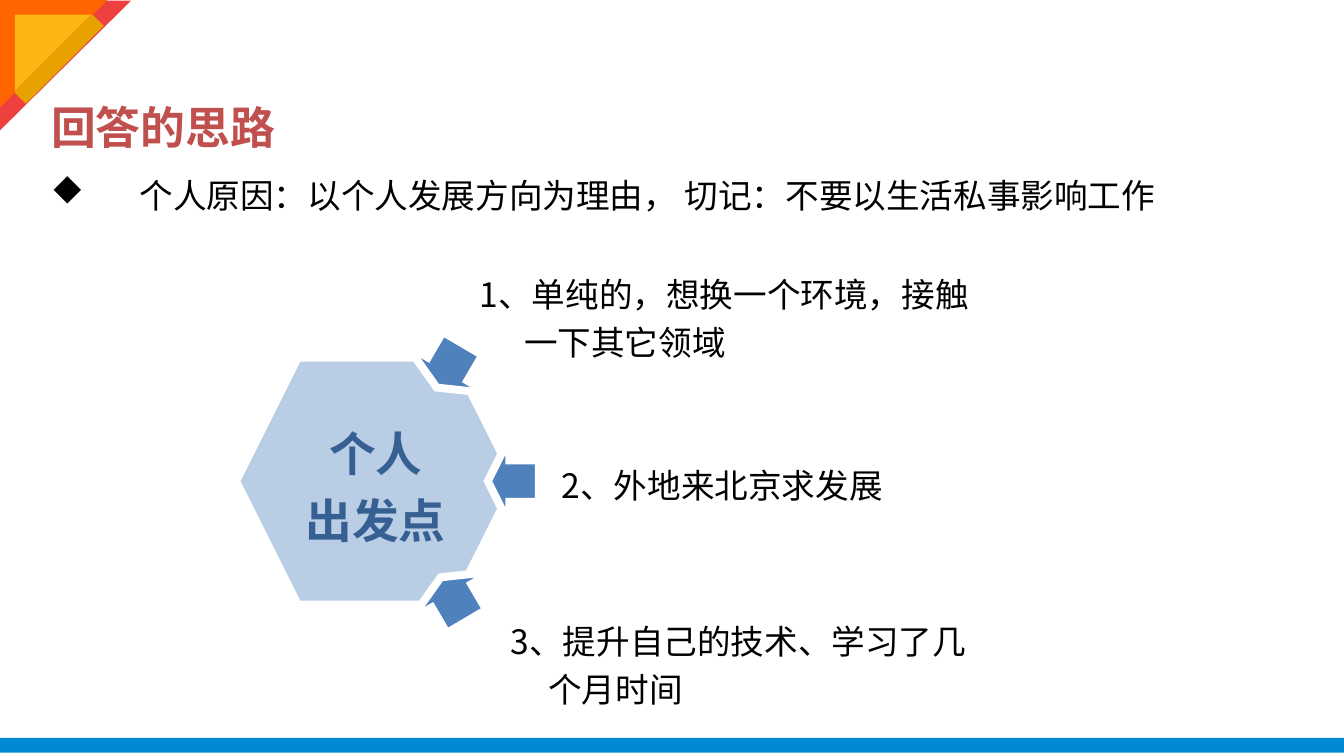
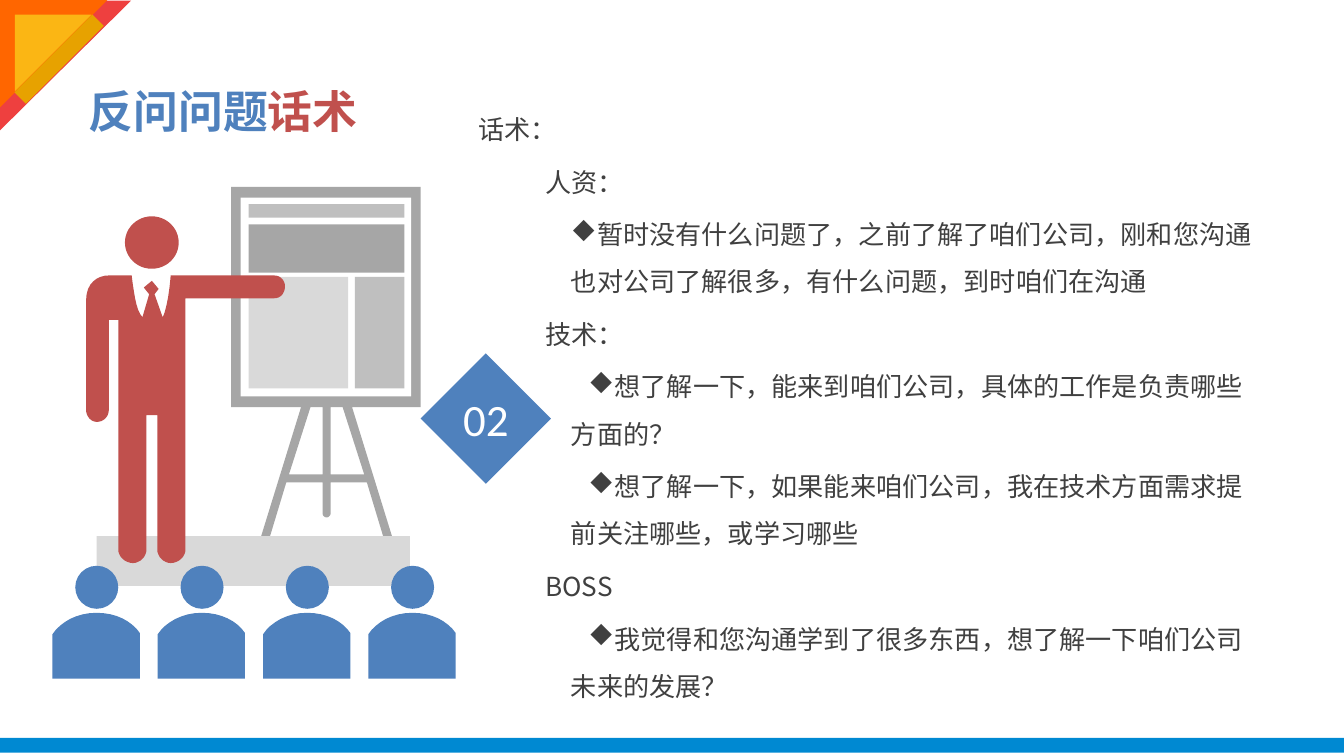
from lxml import etree
from pptx import Presentation, util as u
from pptx.dml.color import RGBColor
from pptx.enum import shapes, text
from pptx.oxml.ns import qn

# Shared style
WIDTH = 10
HEIGHT = WIDTH * 9 / 16
BLUE, PALE_BLUE, DARK_BLUE, RED = "4F81BD", "B9CDE5", "376092", "C0504D"
WHITE, BLACK, INK = "FFFFFF", "000000", "404040"
LIGHT, MID, GREY = "D9D9D9", "BFBFBF", "A6A6A6"
TITLE_FONT, BODY_FONT, LABEL_FONT = "Roboto Condensed", "Noto Sans CJK SC", "Calibri"
BULLET_FONT, DIAMOND = "Wingdings", "u"
KIND = shapes.MSO_SHAPE
MIDDLE, TOP = text.MSO_ANCHOR.MIDDLE, text.MSO_ANCHOR.TOP
CENTER, LEFT = text.PP_ALIGN.CENTER, text.PP_ALIGN.LEFT

# Bottom band and folded corner: kind, box, rotation, colour
FRAME = [
    (KIND.RECTANGLE, (0, 5.49, WIDTH, 0.11), 0, "0089D2"),
    (KIND.RIGHT_TRIANGLE, (0, 0, 0.97, 0.98), 90, "EE403F"),
    (KIND.RIGHT_TRIANGLE, (0, 0, 0.8, 0.8), 90, "FF6600"),
    (KIND.RIGHT_TRIANGLE, (0.11, 0.11, 0.57, 0.57), 90, "FBB614"),
    (KIND.RECTANGLE, (0.38, 0.03, 0.12, 0.82), 45, "E7A200"),
]

# Slide 1 content
REASON = "个人原因：以个人发展方向为理由， 切记：不要以生活私事影响工作"
HUB = ["个人", "出发点"]
# Answer lines, box, indent of the second line
ANSWERS = [
    (["1、单纯的，想换一个环境，接触", "一下其它领域"], (3.57, 1.88, 4.23, 0.91), 0.33),
    (["3、提升自己的技术、学习了几", "个月时间"], (3.8, 4.47, 4, 0.9), 0.28),
    (["2、外地来北京求发展"], (4.18, 3.11, 4.24, 0.94), 0),
]
ARROWS = [
    ((3.02, 4.27, 0.71, 0.38), 329.6),
    ((3.5, 3.39, 0.64, 0.38), 270),
    ((2.99, 2.53, 0.71, 0.38), 210.4),
]

# Slide 2 content: style of the line, wording
SCRIPT = [
    ("heading", "话术："),
    ("role", "人资："),
    ("tight", "暂时没有什么问题了，之前了解了咱们公司，刚和您沟通也对公司了解很多，有什么问题，到时咱们在沟通"),
    ("role", "技术："),
    ("question", "想了解一下，能来到咱们公司，具体的工作是负责哪些方面的？"),
    ("question", "想了解一下，如果能来咱们公司，我在技术方面需求提前关注哪些，或学习哪些"),
    ("role", "BOSS"),
    ("question", "我觉得和您沟通学到了很多东西，想了解一下咱们公司未来的发展？"),
]
LINE_STYLES = {
    "heading": dict(spacing=2),
    "role": dict(spacing=1.5, before=3, level=1, margin=0.5),
    "tight": dict(spacing=1.5, before=3, level=1, margin=0.69, bullet=True),
    "question": dict(spacing=1.5, before=3, level=1, margin=0.69, indent=0.13, bullet=True),
}

# Outlines: a pair is a corner, six numbers are a curve (two handles, end)
EASEL = [
    [(3.13, 1.39), (1.72, 1.39), (1.72, 3.03), (2.24, 3.03), (1.94, 4),
     (1.93, 4.01, 1.94, 4.03, 1.96, 4.04), (1.98, 4.04, 1.99, 4.03, 2, 4.02),
     (2.13, 3.59), (2.4, 3.59), (2.4, 3.82),
     (2.4, 3.83, 2.41, 3.85, 2.43, 3.85), (2.45, 3.85, 2.46, 3.83, 2.46, 3.82),
     (2.46, 3.59), (2.73, 3.59), (2.86, 4.02),
     (2.86, 4.03, 2.88, 4.04, 2.9, 4.04), (2.92, 4.03, 2.92, 4.01, 2.92, 4),
     (2.62, 3.03), (3.13, 3.03)],
    [(2.15, 3.53), (2.31, 3.03), (2.4, 3.03), (2.4, 3.53)],
    [(2.71, 3.53), (2.46, 3.53), (2.46, 3.03), (2.55, 3.03)],
]
PRESENTER = [
    [(2.04, 2.05), (1.27, 2.05), (1.25, 2.3, 1.21, 2.36, 1.21, 2.36),
     (1.15, 2.19), (1.18, 2.15), (1.13, 2.09), (1.07, 2.14), (1.11, 2.19), (1.06, 2.36),
     (1.01, 2.32, 0.99, 2.13, 0.98, 2.05), (0.81, 2.05),
     (0.73, 2.05, 0.64, 2.1, 0.64, 2.24), (0.64, 3.05),
     (0.64, 3.1, 0.68, 3.14, 0.72, 3.14), (0.77, 3.14, 0.81, 3.1, 0.81, 3.05),
     (0.81, 2.38), (0.88, 2.38), (0.88, 4.09),
     (0.88, 4.14, 0.93, 4.19, 0.99, 4.19), (1.04, 4.19, 1.09, 4.14, 1.09, 4.09),
     (1.09, 3.09), (1.17, 3.09), (1.17, 4.09),
     (1.17, 4.14, 1.22, 4.19, 1.27, 4.19), (1.33, 4.19, 1.38, 4.14, 1.38, 4.09),
     (1.38, 2.22), (2.04, 2.22),
     (2.09, 2.22, 2.12, 2.18, 2.12, 2.13), (2.12, 2.09, 2.09, 2.05, 2.04, 2.05)],
]
SHOULDERS = [
    [(0.33, 0), (0.18, 0, 0.06, 0.07, 0, 0.16), (0, 0.49), (0.65, 0.49), (0.65, 0.15),
     (0.59, 0.06, 0.47, 0, 0.33, 0)],
]
BOARD = [
    ((1.79, 1.47, 1.27, 1.48), WHITE),
    ((1.85, 1.52, 1.16, 0.1), MID),
    ((1.85, 1.67, 1.16, 0.36), GREY),
    ((1.85, 2.06, 0.74, 0.83), LIGHT),
    ((2.64, 2.06, 0.37, 0.83), MID),
]
STAGE = (0.72, 3.99, 2.33, 0.37)
PRESENTER_HEAD = (0.93, 1.61, 0.4, 0.39)
SEATS, SEAT_LEFT, SEAT_SPAN = 4, 0.39, 2.35


def color(value):
    return RGBColor.from_string(value)


def inches(box):
    return [u.Inches(length) for length in box]


def paint(shape, fill, line=None):
    shape.shadow.inherit = False
    shape.fill.solid()
    shape.fill.fore_color.rgb = color(fill)
    if line:
        shape.line.color.rgb = color(line)
        shape.line.width = u.Pt(4.25)
        # Sharp corners
        outline = shape._element.spPr.find(qn("a:ln"))
        etree.SubElement(outline, qn("a:miter")).set("lim", "800000")
    else:
        shape.line.fill.background()
    return shape


def add_block(parent, kind, box, fill, rotation=0, line=None):
    shape = parent.shapes.add_shape(kind, *inches(box))
    shape.rotation = rotation
    return paint(shape, fill, line)


def trace(outline, left, top, steps=8):
    """Turn corners and curves into points, in thousandths of an inch."""
    points = []
    for part in outline:
        if len(part) == 2:
            points.append(part)
            continue
        curve = [points[-1], part[:2], part[2:4], part[4:]]
        for step in range(1, steps + 1):
            t = step / steps
            weights = (1 - t) ** 3, 3 * t * (1 - t) ** 2, 3 * t * t * (1 - t), t ** 3
            points.append(tuple(sum(w * p[axis] for w, p in zip(weights, curve))
                                for axis in (0, 1)))
    return [((x + left) * 1000, (y + top) * 1000) for x, y in points]


def add_outline(parent, outlines, fill, left=0, top=0):
    first, *holes = [trace(outline, left, top) for outline in outlines]
    builder = parent.shapes.build_freeform(*first[0], scale=u.Inches(1) / 1000)
    builder.add_line_segments(first[1:], close=True)
    for hole in holes:
        builder.move_to(*hole[0])
        builder.add_line_segments(hole[1:], close=True)
    return paint(builder.convert_to_shape(), fill)


def style_run(run, font, size, fill, bold=False):
    run.font.name, run.font.size, run.font.bold = font, u.Pt(size), bold
    run.font.color.rgb = color(fill)
    etree.SubElement(run.font._element, qn("a:ea")).set("typeface", BODY_FONT)


def style_paragraph(paragraph, align=LEFT, spacing=None, before=0, level=0,
                    margin=0, indent=0, bullet=False):
    paragraph.alignment, paragraph.level = align, level
    paragraph.space_before = u.Pt(before)
    if spacing:
        paragraph.line_spacing = spacing
    properties = paragraph._p.get_or_add_pPr()
    properties.set("marL", str(u.Inches(margin)))
    properties.set("indent", str(u.Inches(indent)))
    if bullet:
        bullet_font = etree.SubElement(properties, qn("a:buFont"))
        bullet_font.set("typeface", BULLET_FONT)
        bullet_font.set("charset", "2")
        etree.SubElement(properties, qn("a:buChar")).set("char", DIAMOND)


def write(shape, lines, font, size, fill, bold=False, anchor=TOP, inset=True):
    """Fill a shape with (wording, paragraph style) lines."""
    frame = shape.text_frame
    frame.word_wrap, frame.vertical_anchor = True, anchor
    if not inset:
        frame.margin_left = frame.margin_right = frame.margin_top = frame.margin_bottom = 0
    frame.text = "\n".join(wording for wording, _ in lines)
    for paragraph, (_, style) in zip(frame.paragraphs, lines):
        style_paragraph(paragraph, **style)
        for run in paragraph.runs:
            style_run(run, font, size, fill, bold)


def add_slide(presentation, title_box, title_parts):
    slide = presentation.slides.add_slide(presentation.slide_layouts[5])
    for kind, box, rotation, fill in FRAME:
        add_block(slide, kind, box, fill, rotation)
    title = slide.shapes.title
    title.left, title.top, title.width, title.height = inches(title_box)
    frame = title.text_frame
    frame.word_wrap, frame.vertical_anchor = False, TOP
    frame.auto_size = text.MSO_AUTO_SIZE.SHAPE_TO_FIT_TEXT
    paragraph = frame.paragraphs[0]
    paragraph.alignment = LEFT
    for wording, fill in title_parts:
        run = paragraph.add_run()
        run.text = wording
        style_run(run, TITLE_FONT, 24, fill, bold=True)
    return slide


def build_reasons(presentation):
    slide = add_slide(presentation, (0.28, 0.69, 1.88, 0.5), [("回答的思路", RED)])
    reason = slide.shapes.add_textbox(*inches((0.28, 1.25, 8.52, 0.4)))
    write(reason, [(REASON, dict(margin=0.66, indent=-0.66, bullet=True))],
          BODY_FONT, 18, BLACK)

    # Hub with arrows pointing at it
    hub = add_block(slide, KIND.HEXAGON, (1.79, 2.69, 2.01, 1.78), PALE_BLUE)
    write(hub, [(line, dict(align=CENTER, spacing=1.2)) for line in HUB],
          LABEL_FONT, 25, DARK_BLUE, bold=True, anchor=MIDDLE, inset=False)
    for box, rotation in ARROWS:
        arrow = add_block(slide, KIND.UP_ARROW, box, BLUE, rotation, WHITE)
        arrow.adjustments[0], arrow.adjustments[1] = 0.48, 0.42

    for lines, box, hang in ANSWERS:
        answer = slide.shapes.add_textbox(*inches(box))
        write(answer, [(line, dict(spacing=1.2, margin=hang if row else 0))
                       for row, line in enumerate(lines)],
              BODY_FONT, 18, BLACK, anchor=MIDDLE, inset=False)


def build_questions(presentation):
    slide = add_slide(presentation, (0.56, 0.57, 2.22, 0.5),
                      [("反问问题", BLUE), ("话术", RED)])
    script = slide.shapes.add_textbox(*inches((3.46, 0.56, 6.07, 4.75)))
    write(script, [(wording, LINE_STYLES[style]) for style, wording in SCRIPT],
          BODY_FONT, 14, INK)

    # Presenter at the easel
    scene = slide.shapes.add_group_shape()
    add_outline(scene, EASEL, GREY)
    for box, fill in BOARD + [(STAGE, LIGHT)]:
        add_block(scene, KIND.RECTANGLE, box, fill)
    add_block(scene, KIND.OVAL, PRESENTER_HEAD, RED)
    add_outline(scene, PRESENTER, RED)

    # Audience in equal seats
    for seat in range(SEATS):
        left = SEAT_LEFT + seat * SEAT_SPAN / (SEATS - 1)
        add_block(scene, KIND.OVAL, (left + 0.17, 4.21, 0.32, 0.32), BLUE)
        add_outline(scene, SHOULDERS, BLUE, left, 4.56)

    number = add_block(slide, KIND.DIAMOND, (3.13, 2.63, 0.97, 0.97), BLUE)
    write(number, [("02", dict(align=CENTER))], LABEL_FONT, 24, WHITE,
          anchor=MIDDLE, inset=False)


def main():
    presentation = Presentation()
    presentation.slide_width, presentation.slide_height = inches((WIDTH, HEIGHT))
    build_reasons(presentation)
    build_questions(presentation)
    presentation.save("out.pptx")


if __name__ == "__main__":
    main()
